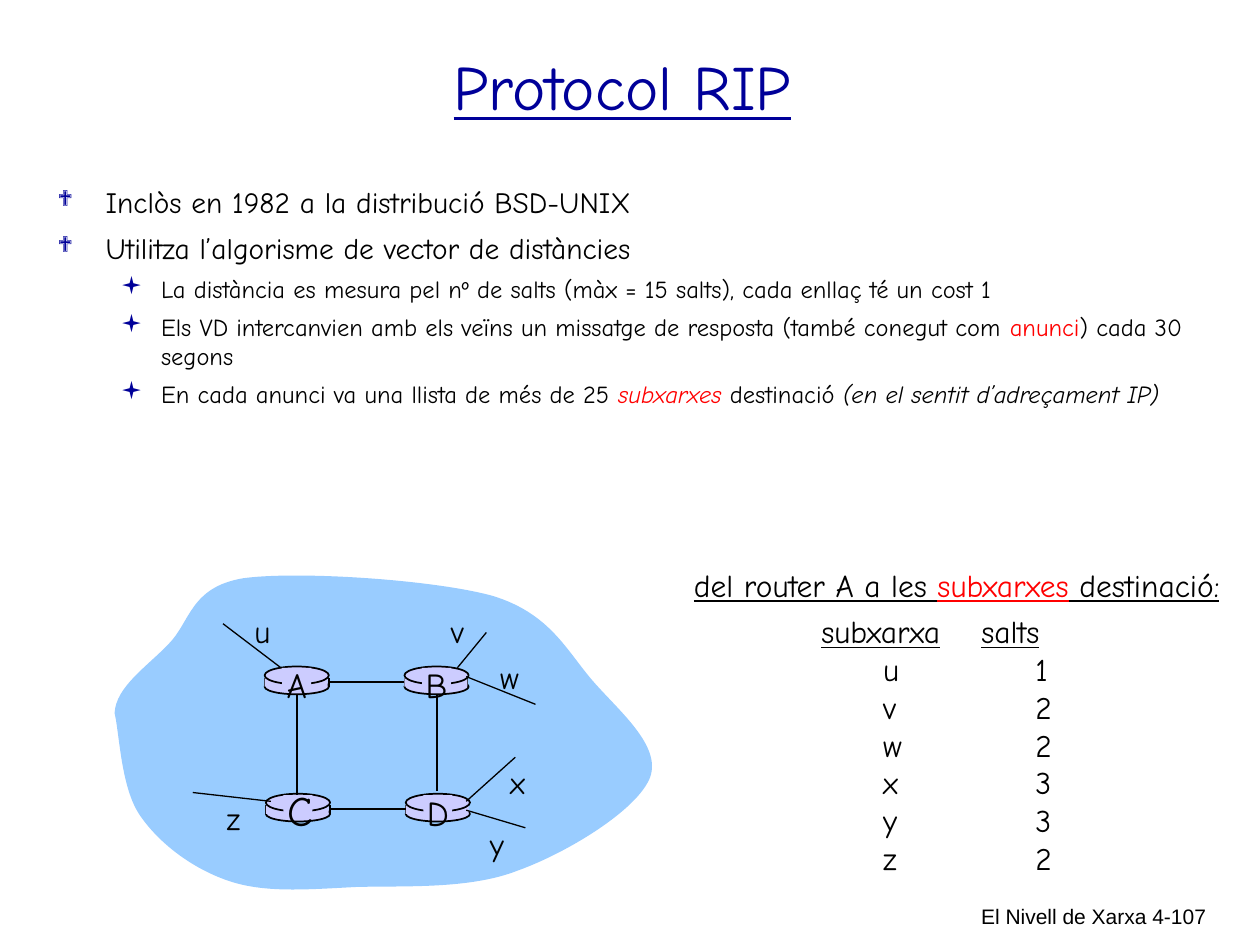
"""Build the slide on the RIP protocol with its router network and hop list."""
from lxml.etree import SubElement
from pptx import Presentation
from pptx.dml.color import RGBColor
from pptx.enum.shapes import MSO_CONNECTOR, MSO_SHAPE
from pptx.enum.text import MSO_ANCHOR, PP_ALIGN
from pptx.oxml.ns import qn
from pptx.util import Inches, Pt

COLORS = {"black": "000000", "navy": "000099", "red": "FF0000",
          "cloud": "99CCFF", "router": "CCCCFF"}
FONT = "Comic Neue"


def add_text(page, left, top, width, height, paragraphs, size,
             align=PP_ALIGN.LEFT, wrap=False, font=FONT):
    box = page.shapes.add_textbox(Inches(left), Inches(top), Inches(width), Inches(height))
    frame = box.text_frame
    frame.word_wrap = wrap
    for index, spans in enumerate(paragraphs):
        para = frame.paragraphs[0] if index == 0 else frame.add_paragraph()
        para.alignment = align
        for text, color, style in spans:
            span = para.add_run()
            span.text = text
            span.font.name = font
            span.font.size = Pt(size)
            span.font.color.rgb = RGBColor.from_string(COLORS[color])
            span.font.underline = "u" in style
            span.font.italic = "i" in style
    return box


def add_line(page, x1, y1, x2, y2, width):
    line = page.shapes.add_connector(
        MSO_CONNECTOR.STRAIGHT, Inches(x1), Inches(y1), Inches(x2), Inches(y2))
    line.line.color.rgb = RGBColor.from_string(COLORS["black"])
    line.line.width = Pt(width)
    SubElement(line._element.spPr, qn("a:effectLst"))


deck = Presentation()
deck.slide_width, deck.slide_height = Inches(10), Inches(7.5)
page = deck.slides.add_slide(deck.slide_layouts[6])

for left, width, text in [(6.03, 3.17, "El Nivell de Xarxa"), (8.93, 0.74, "4-107")]:
    add_text(page, left, 7.12, width, 0.38, [[(text, "black", "")]], 12,
             PP_ALIGN.RIGHT, True, "Arial")

title = add_text(page, 0.36, 0.25, 9.16, 0.85, [[("Protocol RIP", "navy", "u")]], 36,
                 PP_ALIGN.CENTER, True)
title.text_frame.vertical_anchor = MSO_ANCHOR.MIDDLE

points = [
    [("Inclòs en 1982 a la distribució BSD-UNIX", "black", "")],
    [("Utilitza l’algorisme de vector de distàncies", "black", "")],
    [("La distància es mesura pel nº de salts (màx = 15 salts), cada enllaç té un cost 1",
      "black", "")],
    [("Els VD intercanvien amb els veïns un missatge de resposta (també conegut com ",
      "black", ""), ("anunci", "red", ""), (") cada 30 segons", "black", "")],
    [("En cada anunci va una llista de més de 25 ", "black", ""), ("subxarxes ", "red", "i"),
     ("destinació ", "black", ""), ("(en el sentit d’adreçament IP)", "black", "i")],
]
body = add_text(page, 0.36, 1.41, 9.15, 1.85, points, 16.8, wrap=True)
for index, para in enumerate(body.text_frame.paragraphs):
    nested = index > 1
    margin, hanging, mark, percent, space = (
        (0.82, 0.32, "▪", 100, 5) if nested else (0.38, 0.38, "❖", 75, 6))
    para.level = int(nested)
    para.space_before = Pt(space if index else 0)
    properties = para._p.get_or_add_pPr()
    properties.set("marL", str(Inches(margin)))
    properties.set("indent", str(-Inches(hanging)))
    bullet_color = SubElement(properties, qn("a:buClr"))
    SubElement(bullet_color, qn("a:srgbClr"), val=COLORS["navy"])
    SubElement(properties, qn("a:buSzPct"), val=str(percent * 1000))
    SubElement(properties, qn("a:buFont"), typeface="Wingdings")
    SubElement(properties, qn("a:buChar"), char=mark)
    if nested:
        for span in para.runs:
            span.font.size = Pt(14)

curve_points = [
    (0.92, 5.45), (1.17, 5.29), (1.34, 5.11), (1.51, 4.94), (1.51, 4.66), (1.93, 4.59),
    (2.36, 4.53), (3.44, 4.6), (3.91, 4.73), (4.37, 4.87), (4.5, 5.17), (4.71, 5.41),
    (4.92, 5.65), (5.25, 5.92), (5.16, 6.17), (5.06, 6.43), (4.5, 6.77), (4.11, 6.91),
    (3.73, 7.06), (3.21, 7.03), (2.83, 7.04), (2.44, 7.06), (2.1, 7.09), (1.81, 6.99),
    (1.52, 6.89), (1.26, 6.69), (1.11, 6.47), (0.96, 6.25), (0.95, 5.83), (0.91, 5.66),
]
outline = page.shapes.build_freeform(Inches(0.91), Inches(5.66))
outline.add_line_segments([(Inches(x), Inches(y)) for x, y in curve_points], close=True)
cloud = outline.convert_to_shape()
segments = list(cloud._element.iter(qn("a:lnTo")))
for curve, second, third in zip(segments[::3], segments[1::3], segments[2::3]):
    curve.tag = qn("a:cubicBezTo")
    for segment in (second, third):
        curve.append(segment[0])
        segment.getparent().remove(segment)
cloud.shadow.inherit = False
cloud.fill.solid()
cloud.fill.fore_color.rgb = RGBColor.from_string(COLORS["cloud"])
cloud.line.fill.background()

routers = [("C", 2.11, 6.3, 24, (0, 0.51)), ("A", 2.1, 5.29, 20, (0, 0.51)),
           ("B", 3.21, 5.29, 20, (0, 0.5)), ("D", 3.22, 6.3, 20, (0,))]
base = (MSO_SHAPE.OVAL, 0, 0.1, 0.51, 0.12, True)
middle = (MSO_SHAPE.RECTANGLE, 0, 0.09, 0.5, 0.07, False)
lid = (MSO_SHAPE.OVAL, 0, 0, 0.51, 0.14, True)
label_patch = (MSO_SHAPE.RECTANGLE, 0.14, 0.01, 0.23, 0.19, False)
links = [(3.47, 5.51, 3.47, 6.28), (2.36, 5.52, 2.36, 6.31),
         (3.22, 6.42, 2.63, 6.42), (3.21, 5.41, 2.62, 5.41)]
for parts in [(base, middle, lid), (label_patch,)]:
    labelled = label_patch in parts
    if labelled:
        for link in links:
            add_line(page, *link, 1)
    for name, left, top, size, sides in routers:
        for kind, dx, dy, width, height, outlined in parts:
            part = page.shapes.add_shape(
                kind, Inches(left + dx), Inches(top + dy), Inches(width), Inches(height))
            part.shadow.inherit = False
            part.fill.solid()
            part.fill.fore_color.rgb = RGBColor.from_string(COLORS["router"])
            if outlined:
                part.line.color.rgb = RGBColor.from_string(COLORS["black"])
                part.line.width = Pt(1)
            else:
                part.line.fill.background()
            if dy == 0.1:
                for side in sides:
                    add_line(page, left + side, top + 0.09, left + side, top + 0.16, 1)
        if labelled:
            rise = 0.07 if size == 20 else 0.12
            add_text(page, left + 0.07, top - rise, 0.37, 0.44, [[(name, "black", "")]],
                     size, PP_ALIGN.CENTER)

subnet_links = [(3.7, 5.37, 4.25, 5.59), (3.63, 5.3, 3.86, 5.02), (3.7, 6.36, 4.09, 6.01),
                (3.7, 6.43, 3.7, 6.43), (3.7, 6.43, 4.17, 6.57), (2.23, 5.3, 1.77, 4.95),
                (2.15, 6.36, 1.53, 6.29)]
for link in subnet_links:
    add_line(page, *link, 0.75)

subnets = [("u", 1.92, 4.81, 1), ("v", 3.48, 4.81, 2), ("w", 3.87, 5.17, 2),
           ("x", 3.95, 6.01, 3), ("y", 3.79, 6.5, 3), ("z", 1.7, 6.29, 2)]
for name, left, top, hops in subnets:
    add_text(page, left, top, 0.32, 0.4, [[(name, "black", "")]], 18)

rows = [[("subxarxa", "black", "u"), ("\t", "black", ""), ("salts", "black", "u")]]
rows += [[(f"\t{name}\t{hops}", "black", "")] for name, left, top, hops in subnets]
hop_list = add_text(page, 6.42, 4.81, 2.03, 2.5, rows, 18, wrap=True)
for index, para in enumerate(hop_list.text_frame.paragraphs):
    tabs = SubElement(para._p.get_or_add_pPr(), qn("a:tabLst"))
    for stop in (0.49, 1.7) if index else (1.27,):
        SubElement(tabs, qn("a:tab"), pos=str(Inches(stop)), algn="l")

add_text(page, 5.41, 4.44, 4.4, 0.4,
         [[("del router A a les ", "black", "u"), ("subxarxes", "red", "u"),
           (" destinació:", "black", "u")]], 18)

deck.save("out.pptx")
